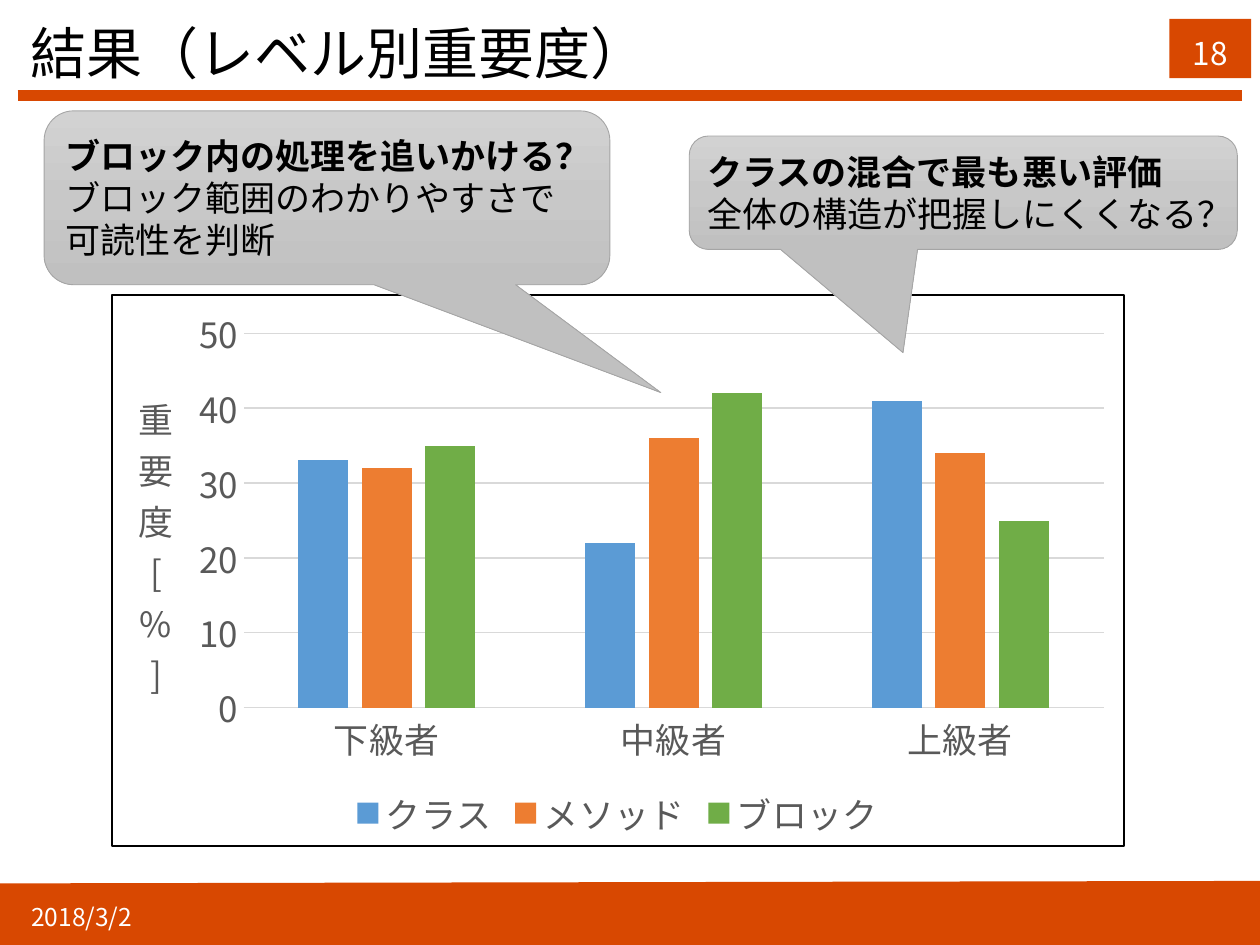
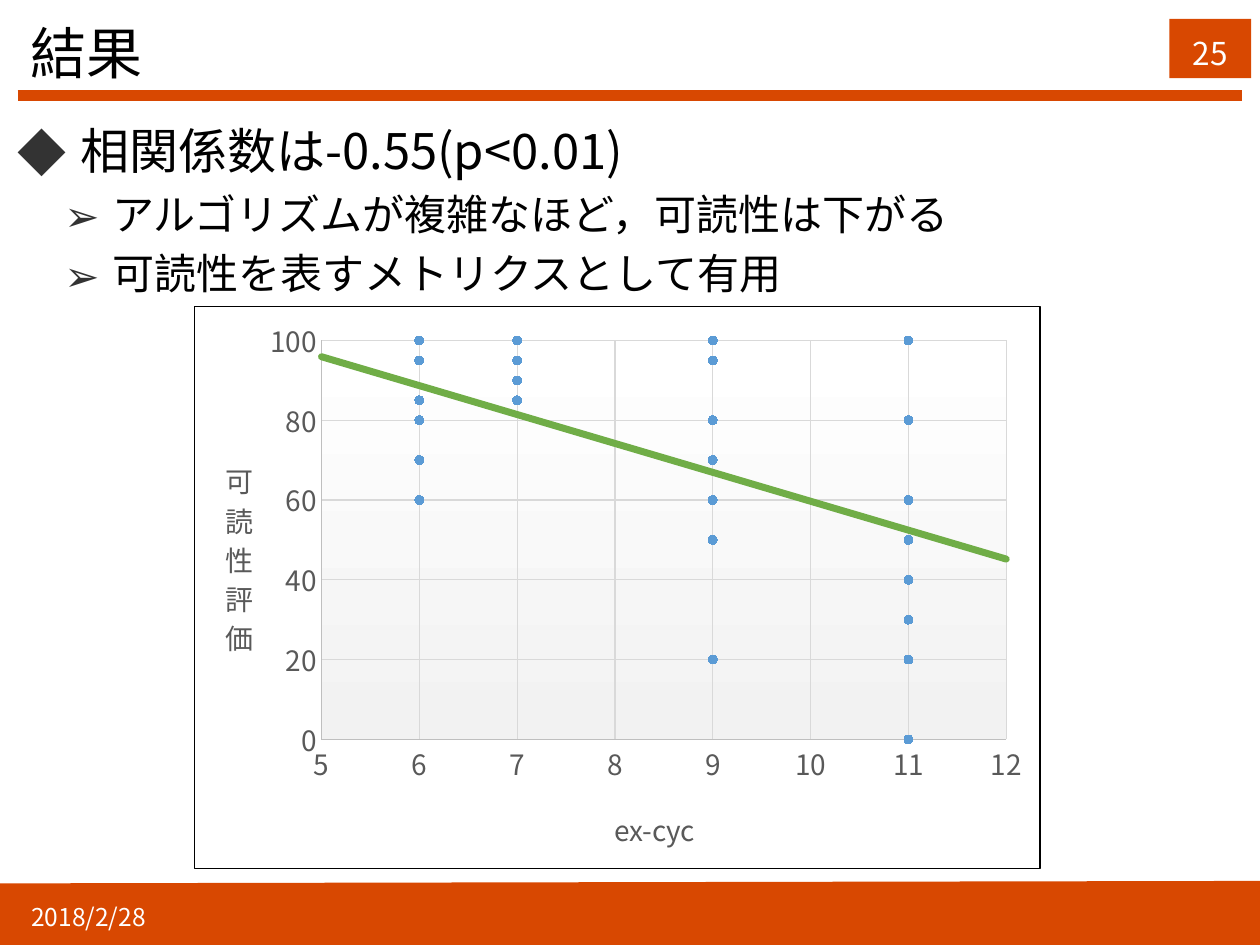
from dataclasses import dataclass
from itertools import cycle
from typing import NamedTuple

from lxml.etree import SubElement
from pptx import Presentation
from pptx.chart.axis import _BaseAxis as Axis
from pptx.chart.chart import Chart
from pptx.chart.data import CategoryChartData as CatData, XyChartData as XyData
from pptx.dml.color import RGBColor as Rgb
from pptx.dml.line import LineFormat as Line
from pptx.enum.chart import (
    XL_CHART_TYPE as Kind,
    XL_LEGEND_POSITION as Side,
    XL_MARKER_STYLE as Mark,
    XL_TICK_MARK as Tick,
)
from pptx.enum.shapes import MSO_CONNECTOR as Link, MSO_SHAPE as Form
from pptx.enum.text import MSO_ANCHOR as Anchor, MSO_AUTO_SIZE as Fit, PP_ALIGN as Align
from pptx.oxml import parse_xml as to_xml
from pptx.oxml.ns import nsdecls, qn
from pptx.slide import Slide
from pptx.text.text import Font, TextFrame as Frame
from pptx.util import Emu, Pt

SCALE = 9144


@dataclass(frozen=True)
class Theme:
    face: str = "Noto Sans CJK JP"
    brand: str = "D84801"
    ink: str = "000000"
    paper: str = "FFFFFF"
    label: str = "595959"
    grid: str = "D9D9D9"
    axis: str = "BFBFBF"
    edge: str = "A5A5A5"
    bullet: str = "333333"
    blue: str = "5B9BD5"
    orange: str = "ED7D31"
    green: str = "70AD47"
    gray: tuple[str, ...] = ("D2D2D2", "C8C8C8", "C0C0C0")
    plot: tuple[str, ...] = ("FFFFFF", "F2F2F2")
    title: int = 32
    lead: int = 28
    point: int = 24
    note: int = 20
    page: int = 18
    small: int = 16
    date: int = 14
    pitch: float = 1.2


THEME = Theme()


class Box(NamedTuple):
    left: int
    top: int
    width: int
    height: int

    def emu(self) -> list[Emu]:
        return [px(n) for n in self]


class Rule(NamedTuple):
    start: tuple[int, int]
    end: tuple[int, int]
    width: float


class Call(NamedTuple):
    box: Box
    tip: tuple[float, float]
    head: str
    text: str


class Item(NamedTuple):
    text: str
    level: int
    size: int
    sign: str
    left: int
    hang: int


class Name(NamedTuple):
    text: str
    left: float
    top: float
    stack: bool = False


class Bars(NamedTuple):
    name: str
    vals: tuple[int, ...]
    tint: str


RULES = [Rule((0, 727), (1000, 725), 37.25), Rule((14, 76), (986, 76), 6)]
CALLS = [
    Call(Box(35, 88, 449, 138), (0.59, 1.12),
         "ブロック内の処理を追いかける？", "ブロック範囲のわかりやすさで\n可読性を判断"),
    Call(Box(547, 108, 435, 90), (-0.11, 1.41),
         "クラスの混合で最も悪い評価", "全体の構造が把握しにくくなる？"),
]
ITEMS = [
    Item("相関係数は-0.55(p<0.01)", 0, THEME.lead, "◆", 50, 50),
    Item("アルゴリズムが複雑なほど，可読性は下がる", 1, THEME.point, "➢", 75, 38),
    Item("可読性を表すメトリクスとして有用", 1, THEME.point, "➢", 75, 38),
]
LEVELS = ["下級者", "中級者", "上級者"]
BARS = [
    Bars("クラス", (33, 22, 41), THEME.blue),
    Bars("メソッド", (32, 36, 34), THEME.orange),
    Bars("ブロック", (35, 42, 25), THEME.green),
]
CYCLES = (6, 7, 9, 11)
SCORES = [
    95, 90, 95, 80, 70, 90, 50, 60, 100, 100, 70, 100, 100, 100,
    100, 80, 60, 100, 80, 60, 70, 90, 20, 0, 85, 85, 60, 30,
    70, 95, 50, 50, 70, 90, 60, 40, 80, 100, 50, 20,
]


def px(count: int) -> Emu:
    return Emu(count * SCALE)


def style(font: Font, size: int, tint: str, bold: bool = False) -> None:
    font.name = THEME.face
    font.size = Pt(size)
    font.bold = bold
    font.color.rgb = Rgb.from_string(tint)
    SubElement(font._rPr, qn("a:ea"), typeface=THEME.face)


def stroke(line: Line, tint: str, width: float) -> None:
    line.color.rgb = Rgb.from_string(tint)
    line.width = Pt(width)


def blend(tints: tuple[str, ...]) -> str:
    step = 100000 // (len(tints) - 1)
    stops = "".join(
        f'<a:gs pos="{i * step}"><a:srgbClr val="{tint}"/></a:gs>'
        for i, tint in enumerate(tints)
    )
    return (f'<a:gradFill {nsdecls("a")} rotWithShape="1"><a:gsLst>{stops}</a:gsLst>'
            '<a:lin ang="5400000" scaled="0"/></a:gradFill>')


def write(frame: Frame, text: str, size: int, tint: str, anchor: Anchor) -> None:
    frame.auto_size = Fit.NONE
    frame.word_wrap = True
    frame.vertical_anchor = anchor
    para = frame.paragraphs[0]
    para.text = text
    para.alignment = Align.LEFT
    style(para.font, size, tint)


def draw_base(slide: Slide, title: str, page: str, date: str) -> None:
    for rule in RULES:
        ends = [px(n) for n in rule.start + rule.end]
        bar = slide.shapes.add_connector(Link.STRAIGHT, *ends)
        stroke(bar.line, THEME.brand, rule.width)
        SubElement(bar._element.spPr, qn("a:effectLst"))
    tag = slide.shapes.add_shape(Form.RECTANGLE, *Box(928, 15, 65, 47).emu())
    tag.shadow.inherit = False
    tag.fill.solid()
    tag.fill.fore_color.rgb = Rgb.from_string(THEME.brand)
    tag.line.fill.background()
    write(tag.text_frame, page, THEME.page, THEME.paper, Anchor.BOTTOM)
    tag.text_frame.paragraphs[0].alignment = Align.CENTER
    head = slide.shapes.title
    head.left, head.top, head.width, head.height = Box(14, 6, 900, 70).emu()
    write(head.text_frame, title, THEME.title, THEME.ink, Anchor.MIDDLE)
    foot = slide.shapes.add_textbox(*Box(15, 706, 233, 43).emu())
    write(foot.text_frame, date, THEME.date, THEME.paper, Anchor.MIDDLE)


def draw_call(slide: Slide, call: Call) -> None:
    shape = slide.shapes.add_shape(Form.ROUNDED_RECTANGULAR_CALLOUT, *call.box.emu())
    shape.shadow.inherit = False
    for i, value in enumerate((*call.tip, 0.17)):
        shape.adjustments[i] = value
    shape.fill.background()
    props = shape._element.spPr
    props.replace(props.find(qn("a:noFill")), to_xml(blend(THEME.gray)))
    stroke(shape.line, THEME.edge, 0.5)
    frame = shape.text_frame
    frame.word_wrap = False
    frame.vertical_anchor = Anchor.MIDDLE
    paras = frame.paragraphs[0], frame.add_paragraph()
    for para, text, bold in zip(paras, (call.head, call.text), (True, False)):
        para.text = text
        para.alignment = Align.LEFT
        para.line_spacing = Pt(THEME.note * THEME.pitch)
        style(para.font, THEME.note, THEME.ink, bold)


def draw_list(slide: Slide, items: list[Item]) -> None:
    body = slide.placeholders[1]
    body.left, body.top, body.width, body.height = Box(4, 91, 992, 606).emu()
    frame = body.text_frame
    frame.auto_size = Fit.NONE
    for i, item in enumerate(items):
        para = frame.add_paragraph() if i else frame.paragraphs[0]
        para.text = item.text
        para.level = item.level
        para.line_spacing = Pt(item.size * THEME.pitch)
        para.space_before = Pt(5 if i else 0)
        props = para._p.get_or_add_pPr()
        props.set("marL", str(px(item.left)))
        props.set("indent", str(-px(item.hang)))
        tint = SubElement(props, qn("a:buClr"))
        SubElement(tint, qn("a:srgbClr"), val=THEME.bullet)
        SubElement(props, qn("a:buFont"), typeface=THEME.face)
        SubElement(props, qn("a:buChar"), char=item.sign)
        style(para.font, item.size, THEME.ink)


def place(host, index: int, **parts: float) -> None:
    for old in host.findall(qn("c:layout")):
        host.remove(old)
    inner = '<c:layoutTarget val="inner"/>' if "w" in parts else ""
    modes = "".join(f'<c:{key}Mode val="edge"/>' for key in "xy")
    sizes = "".join(f'<c:{key} val="{value}"/>' for key, value in parts.items())
    host.insert(index, to_xml(
        f'<c:layout {nsdecls("c")}><c:manualLayout>{inner}{modes}{sizes}'
        '</c:manualLayout></c:layout>'))


def set_axis(axis: Axis, size: int, line: str = "", grid: bool = True) -> None:
    axis.major_tick_mark = axis.minor_tick_mark = Tick.NONE
    style(axis.tick_labels.font, size, THEME.label)
    axis.has_major_gridlines = grid
    if grid:
        stroke(axis.major_gridlines.format.line, THEME.grid, 0.75)
    if line:
        stroke(axis.format.line, line, 0.75)
    else:
        axis.format.line.fill.background()


def set_range(axis: Axis, low: int, high: int, step: int) -> None:
    axis.minimum_scale, axis.maximum_scale, axis.major_unit = low, high, step


def set_name(axis: Axis, name: Name, size: int) -> None:
    title = axis.axis_title
    frame = title.text_frame
    para = frame.paragraphs[0]
    para.text = name.text
    style(para.font, size, THEME.label)
    if name.stack:
        props = frame._txBody.bodyPr
        props.set("rot", "0")
        props.set("vert", "wordArtVert")
    place(title._element, 1, x=name.left, y=name.top)


def add_chart(slide: Slide, kind: Kind, box: Box, data: CatData | XyData,
              size: int, edge: float) -> Chart:
    chart = slide.shapes.add_chart(kind, *box.emu(), data).chart
    chart.has_title = False
    chart.has_legend = False
    style(chart.font, size, THEME.ink)
    chart.plots[0].vary_by_categories = False
    root = chart._chartSpace
    root.find(qn("c:chart")).addnext(to_xml(
        f'<c:spPr {nsdecls("c", "a")}><a:solidFill><a:srgbClr val="{THEME.paper}"/>'
        f'</a:solidFill><a:ln w="{Pt(edge)}"><a:solidFill><a:srgbClr val="{THEME.ink}"/>'
        '</a:solidFill></a:ln></c:spPr>'))
    return chart


def draw_bars(slide: Slide) -> None:
    data = CatData()
    data.categories = LEVELS
    for bars in BARS:
        data.add_series(bars.name, bars.vals)
    size = THEME.note
    chart = add_chart(slide, Kind.COLUMN_CLUSTERED, Box(88, 233, 805, 439), data, size, 1.25)
    plot = chart.plots[0]
    plot.gap_width, plot.overlap = 219, -27
    for row, bars in zip(plot.series, BARS):
        row.format.fill.solid()
        row.format.fill.fore_color.rgb = Rgb.from_string(bars.tint)
    set_axis(chart.category_axis, size, THEME.grid, grid=False)
    set_axis(chart.value_axis, size)
    set_range(chart.value_axis, 0, 50, 10)
    set_name(chart.value_axis, Name("重要度[%]", 0.02, 0.16, True), size)
    chart.has_legend = True
    chart.legend.position = Side.BOTTOM
    chart.legend.include_in_layout = False
    style(chart.legend.font, size, THEME.label)
    place(chart._chartSpace.chart.plotArea, 0, x=0.13, y=0.07, w=0.85, h=0.68)


def draw_dots(slide: Slide) -> None:
    data = XyData()
    dots = data.add_series("Series 1")
    for x, y in zip(cycle(CYCLES), SCORES):
        dots.add_data_point(x, y)
    size = THEME.small
    chart = add_chart(slide, Kind.XY_SCATTER, Box(154, 243, 672, 447), data, size, 0.75)
    row = chart.plots[0].series[0]
    row.format.line.fill.background()
    row.marker.style, row.marker.size = Mark.CIRCLE, 5
    row.marker.format.fill.solid()
    row.marker.format.fill.fore_color.rgb = Rgb.from_string(THEME.blue)
    row.marker.format.line.fill.background()
    row._element.find(qn("c:xVal")).addprevious(to_xml(
        f'<c:trendline {nsdecls("c", "a")}><c:spPr><a:ln w="{Pt(4)}" cap="rnd"><a:solidFill>'
        f'<a:srgbClr val="{THEME.green}"/></a:solidFill></a:ln></c:spPr>'
        '<c:trendlineType val="linear"/><c:forward val="1"/><c:backward val="1"/>'
        '<c:dispRSqr val="0"/><c:dispEq val="0"/></c:trendline>'))
    for axis in (chart.category_axis, chart.value_axis):
        set_axis(axis, size, THEME.axis)
    set_range(chart.category_axis, 5, 12, 1)
    set_range(chart.value_axis, 0, 100, 20)
    set_name(chart.category_axis, Name("ex-cyc", 0.49, 0.88), size)
    set_name(chart.value_axis, Name("可読性評価", 0.03, 0.26, True), size)
    area = chart._chartSpace.chart.plotArea
    place(area, 0, x=0.15, y=0.06, w=0.81, h=0.71)
    area.append(to_xml(f'<c:spPr {nsdecls("c", "a")}>{blend(THEME.plot)}</c:spPr>'))


def main() -> None:
    deck = Presentation()
    deck.slide_width, deck.slide_height = px(1000), px(750)
    level = deck.slides.add_slide(deck.slide_layouts[5])
    draw_base(level, "結果（レベル別重要度）", "18", "2018/3/2")
    draw_bars(level)
    for call in CALLS:
        draw_call(level, call)
    trend = deck.slides.add_slide(deck.slide_layouts[1])
    draw_base(trend, "結果", "25", "2018/2/28")
    draw_list(trend, ITEMS)
    draw_dots(trend)
    deck.save("out.pptx")


if __name__ == "__main__":
    main()
